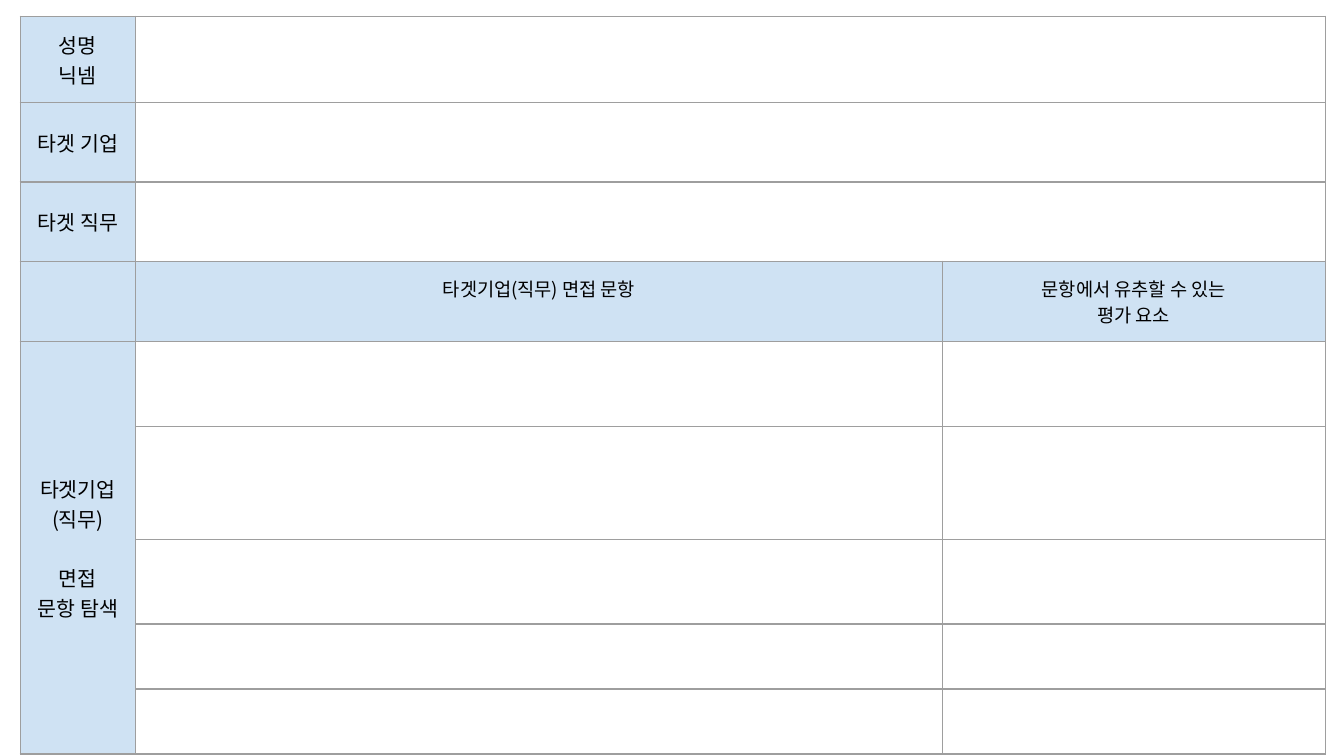
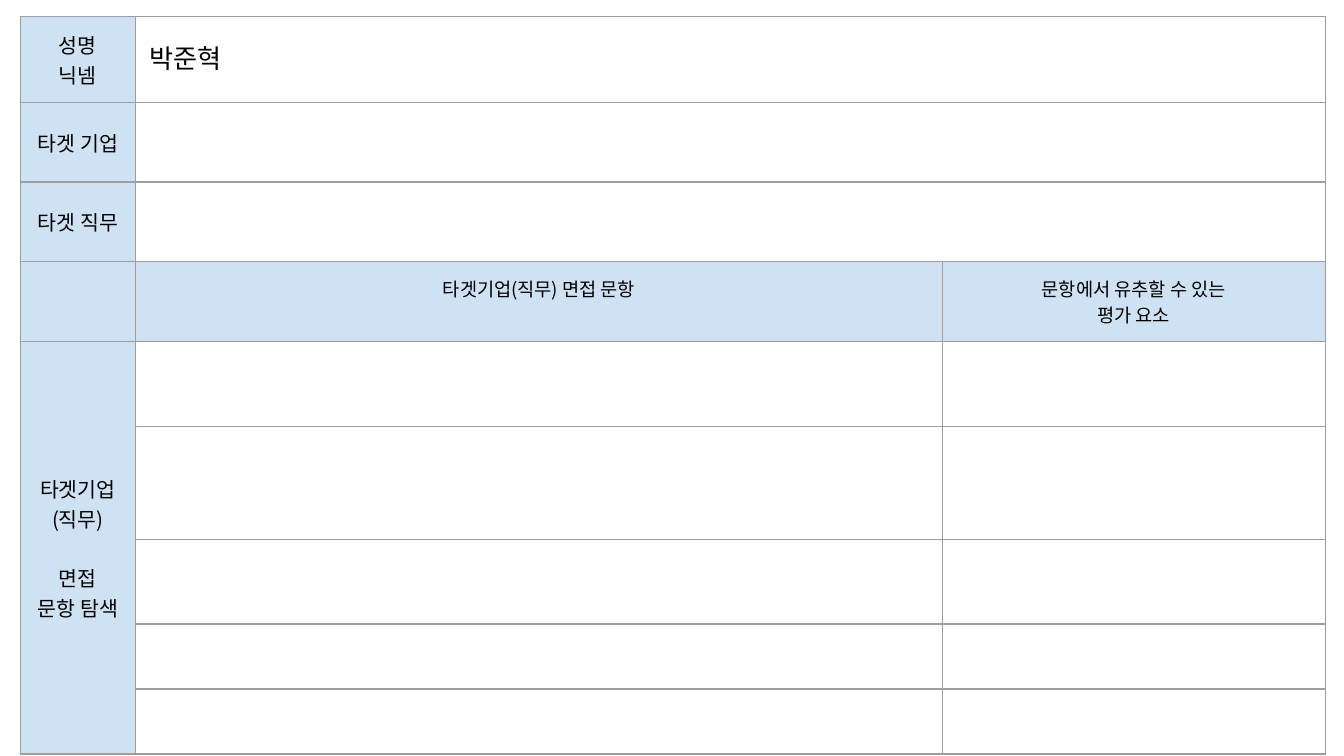
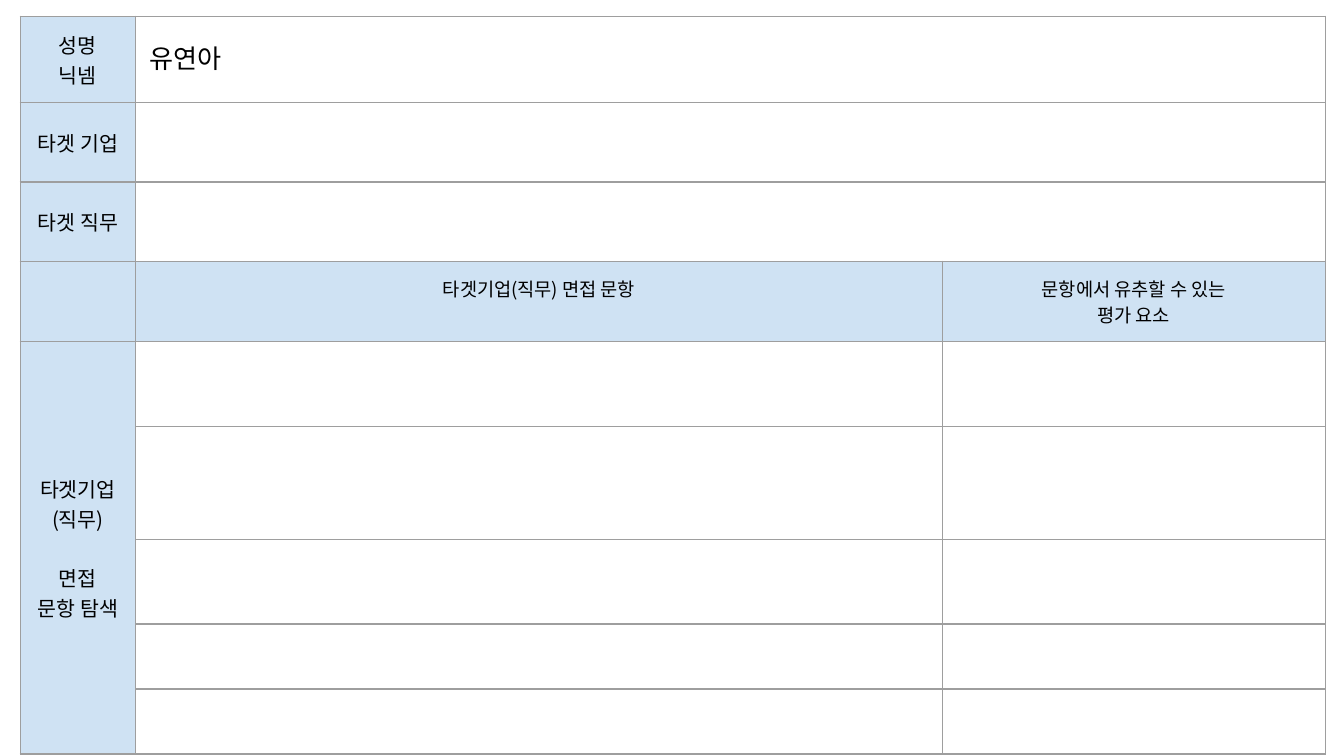
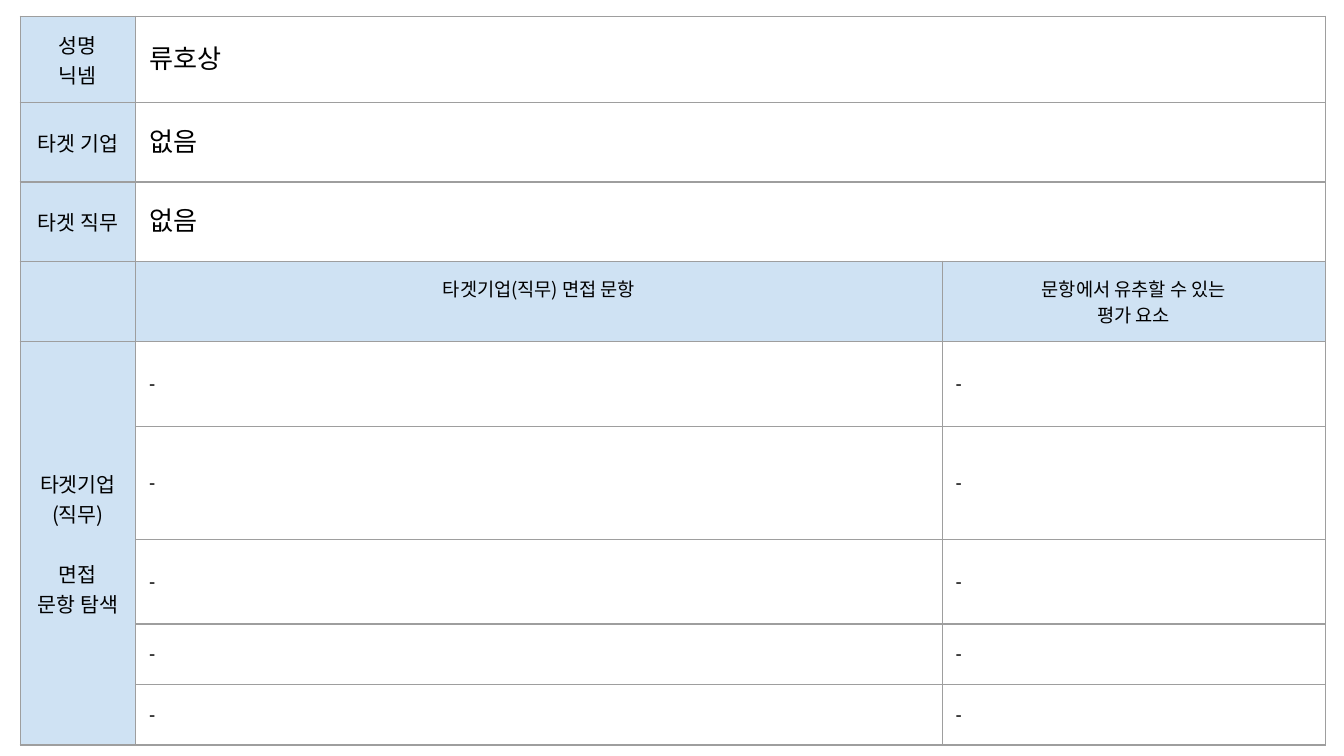
from dataclasses import dataclass

from lxml import etree
from pptx import Presentation
from pptx.dml.color import RGBColor
from pptx.enum.text import MSO_ANCHOR, PP_ALIGN
from pptx.oxml.ns import qn
from pptx.util import Inches, Pt

CENTER, LEFT = PP_ALIGN.CENTER, PP_ALIGN.LEFT
MIDDLE, TOP = MSO_ANCHOR.MIDDLE, MSO_ANCHOR.TOP

# Shared look
KOREAN, LATIN = "Noto Sans CJK KR", "Arial"
LABEL_FILL, BORDER, TEXT = "CFE2F3", "9E9E9E", "000000"
BORDER_WIDTH = Pt(0.75)
BLANK_LAYOUT = 6

# Worksheet grid, in inches
SLIDE_SIZE = (10, 5.625)
ORIGIN = (0.15, 0.12)
COLUMNS = (0.86, 6, 2.85)
ROWS = (0.59, 0.59, 0.59, 0.56, 0.63, 0.84, 0.63, 0.45, 0.45)
PROFILE_ROWS, HEADING_ROW, FIRST_QUESTION_ROW = 3, 3, 4
QUESTION_COUNT = len(ROWS) - FIRST_QUESTION_ROW
INSETS = dict.fromkeys(
    ("margin_left", "margin_right", "margin_top", "margin_bottom"), Inches(0.1))


@dataclass(frozen=True)
class CellStyle:
    size: float
    font: str = KOREAN
    align: PP_ALIGN = CENTER
    anchor: MSO_ANCHOR = MIDDLE
    fill: str | None = LABEL_FILL


LABEL = CellStyle(11)
HEADING = CellStyle(10, anchor=TOP)
PROFILE = CellStyle(14, LATIN, LEFT, fill=None)
QUESTION = CellStyle(10, LATIN, LEFT, fill=None)
EMPTY = CellStyle(14, align=LEFT, fill=None)
COVERED = CellStyle(10, LATIN, LEFT, fill=None)


@dataclass(frozen=True)
class Worksheet:
    """One person's answers."""
    profile: tuple[str, ...] = ("", "", "")
    questions: tuple[str, ...] = ("",) * QUESTION_COUNT
    criteria: tuple[str, ...] = ("",) * QUESTION_COUNT


PROFILE_LABELS = (("성명", "닉넴"), ("타겟 기업",), ("타겟 직무",))
HEADINGS = ((), ("타겟기업(직무) 면접 문항",), ("문항에서 유추할 수 있는", "평가 요소"))
SEARCH_LABEL = ("타겟기업(직무)", "면접", "문항 탐색")

DASHES = ("-",) * QUESTION_COUNT
WORKSHEETS = (
    Worksheet(),
    Worksheet(("박준혁", "", "")),
    Worksheet(("유연아", "", "")),
    Worksheet(("류호상", "없음", "없음"), DASHES, DASHES),
)


def color(hex_code: str) -> RGBColor:
    return RGBColor.from_string(hex_code)


def set_borders(cell) -> None:
    properties = cell._tc.get_or_add_tcPr()
    for side in ("lnL", "lnR", "lnT", "lnB"):
        line = etree.SubElement(properties, qn(f"a:{side}"), w=str(BORDER_WIDTH))
        solid = etree.SubElement(line, qn("a:solidFill"))
        etree.SubElement(solid, qn("a:srgbClr"), val=BORDER)


def set_typefaces(properties, font: str) -> None:
    for script in ("latin", "ea"):
        etree.SubElement(properties, qn(f"a:{script}"), typeface=font)


def format_cell(cell, style: CellStyle) -> None:
    set_borders(cell)
    for name, value in {**INSETS, "vertical_anchor": style.anchor}.items():
        setattr(cell, name, value)
    if style.fill:
        cell.fill.solid()
        cell.fill.fore_color.rgb = color(style.fill)
    else:
        cell.fill.background()


def write_cell(cell, lines: tuple[str, ...], style: CellStyle) -> None:
    format_cell(cell, style)
    frame = cell.text_frame
    for index, line in enumerate(lines):
        paragraph = frame.add_paragraph() if index else frame.paragraphs[0]
        paragraph.alignment = style.align
        run = paragraph.add_run()
        run.text = line
        run.font.size = Pt(style.size)
        run.font.color.rgb = color(TEXT)
        set_typefaces(run._r.get_or_add_rPr(), style.font)
    if not lines:
        # The end mark sets the height of a cell without text
        end = etree.SubElement(frame.paragraphs[0]._p, qn("a:endParaRPr"),
                               sz=str(style.size * 100))
        set_typefaces(end, style.font)


def write_answer(cell, answer: str, style: CellStyle) -> None:
    write_cell(cell, (answer,) if answer else (), style if answer else EMPTY)


def add_grid(slide):
    left, top = map(Inches, ORIGIN)
    grid = slide.shapes.add_table(len(ROWS), len(COLUMNS), left, top,
                                  Inches(sum(COLUMNS)), Inches(sum(ROWS))).table
    grid.first_row = grid.horz_banding = False
    for column, width in zip(grid.columns, COLUMNS):
        column.width = Inches(width)
    for row, height in zip(grid.rows, ROWS):
        row.height = Inches(height)
    return grid


def draw_worksheet(slide, sheet: Worksheet) -> None:
    grid = add_grid(slide)

    # Name, company and job
    for row in range(PROFILE_ROWS):
        grid.cell(row, 1).merge(grid.cell(row, 2))
        write_cell(grid.cell(row, 0), PROFILE_LABELS[row], LABEL)
        write_answer(grid.cell(row, 1), sheet.profile[row], PROFILE)
        write_cell(grid.cell(row, 2), (), COVERED)

    # Headings of the question part
    for column, heading in enumerate(HEADINGS):
        write_cell(grid.cell(HEADING_ROW, column), heading, HEADING)

    # Label beside the questions, with a gap of one line
    search = grid.cell(FIRST_QUESTION_ROW, 0)
    search.merge(grid.cell(len(ROWS) - 1, 0))
    write_cell(search, SEARCH_LABEL, LABEL)
    search.text_frame.paragraphs[1].space_before = Pt(16)

    # Questions and what they assess
    for index, answers in enumerate(zip(sheet.questions, sheet.criteria)):
        row = FIRST_QUESTION_ROW + index
        if index:
            write_cell(grid.cell(row, 0), (), COVERED)
        for column, answer in enumerate(answers, start=1):
            write_answer(grid.cell(row, column), answer, QUESTION)


def main() -> None:
    deck = Presentation()
    deck.slide_width, deck.slide_height = map(Inches, SLIDE_SIZE)
    for sheet in WORKSHEETS:
        draw_worksheet(deck.slides.add_slide(deck.slide_layouts[BLANK_LAYOUT]), sheet)
    deck.save("out.pptx")


main()
